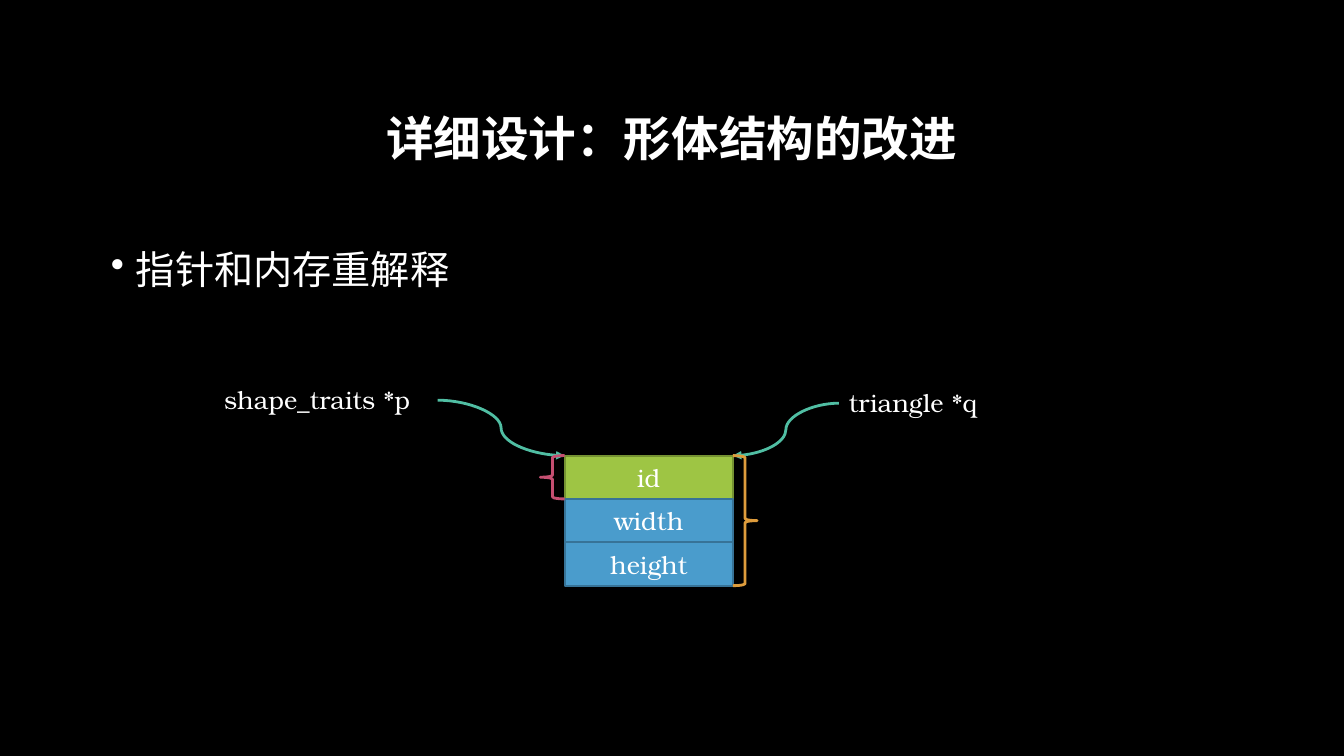
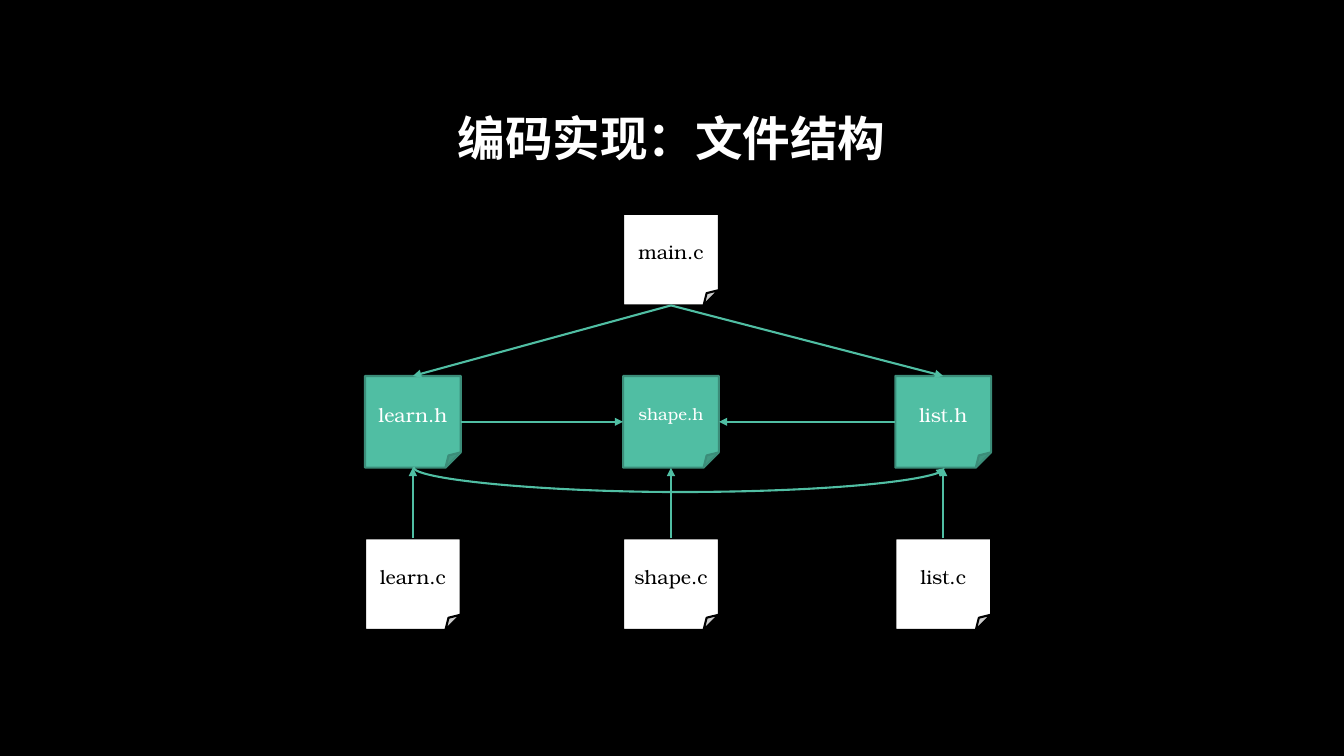
from pptx import Presentation
from pptx.dml.color import RGBColor
from pptx.enum.shapes import MSO_CONNECTOR as Connector, MSO_SHAPE as Shape
from pptx.enum.text import MSO_ANCHOR as Anchor, PP_ALIGN as Align
from pptx.oxml.ns import qn
from pptx.oxml.xmlchemy import OxmlElement
from pptx.util import Inches, Pt

COLORS = {
    "black": "000000",
    "white": "FFFFFF",
    "teal": "50BEA3",
    "dark_teal": "3B8D79",
    "green": "9EC544",
    "dark_green": "759232",
    "blue": "4A9CCC",
    "dark_blue": "377397",
    "pink": "C54F71",
    "orange": "DE9C3C",
}
SERIF = "TeX Gyre Bonum"
MONO = "Courier New"
TOP, LEFT, BOTTOM, RIGHT = range(4)


def color(name):
    return RGBColor.from_string(COLORS[name])


def write(shape, text, size=18, font=SERIF, ink="white", bold=False,
          align=Align.CENTER, anchor=Anchor.MIDDLE, spacing=1.0, bullet=None):
    frame = shape.text_frame
    frame.word_wrap = True
    frame.vertical_anchor = anchor
    paragraph = frame.paragraphs[0]
    paragraph.text = text
    paragraph.alignment = align
    paragraph.line_spacing = spacing
    if bullet:
        properties = paragraph._p.get_or_add_pPr()
        properties.set("marL", str(Inches(0.25)))
        properties.set("indent", str(Inches(-0.25)))
        mark = OxmlElement("a:buChar")
        mark.set("char", bullet)
        properties.append(mark)
    paragraph.font.size = Pt(size)
    paragraph.font.name = font
    paragraph.font.bold = bold
    paragraph.font.color.rgb = color(ink)


def add_text(slide, box, text, **style):
    write(slide.shapes.add_textbox(*map(Inches, box)), text, **style)


def add_block(slide, kind, box, line, fill=None, width=1.5):
    shape = slide.shapes.add_shape(kind, *map(Inches, box))
    shape.shadow.inherit = False
    if fill:
        shape.fill.solid()
        shape.fill.fore_color.rgb = color(fill)
    else:
        shape.fill.background()
    shape.line.color.rgb = color(line)
    shape.line.width = Pt(width)
    return shape


def add_arrow(slide, start=(0, 0), end=(0, 0), kind=Connector.STRAIGHT, width=1.5):
    arrow = slide.shapes.add_connector(kind, *map(Inches, (*start, *end)))
    arrow.line.color.rgb = color("teal")
    arrow.line.width = Pt(width)
    properties = arrow.element.spPr
    head = OxmlElement("a:tailEnd")
    head.set("type", "triangle")
    properties.find(qn("a:ln")).append(head)
    properties.append(OxmlElement("a:effectLst"))
    return arrow


def join(slide, source, source_side, target, target_side):
    arrow = add_arrow(slide)
    arrow.begin_connect(source, source_side)
    arrow.end_connect(target, target_side)


def add_bow(slide, start, end, depth):
    thickness = 0.01
    center_x, span = (start[0] + end[0]) / 2, end[0] - start[0]
    arrow = add_arrow(slide,
                      (center_x + thickness / 2, start[1] - span / 2),
                      (center_x - thickness / 2, start[1] + span / 2),
                      kind=Connector.CURVE)
    arrow.rotation = 270
    guide = OxmlElement("a:gd")
    guide.set("name", "adj1")
    guide.set("fmla", f"val {round(depth / thickness * 100000)}")
    geometry = arrow.element.spPr.find(qn("a:prstGeom"))
    geometry.find(qn("a:avLst")).append(guide)


def add_file(slide, name, left, top, size=14):
    header = name.endswith(".h")
    fill, line, ink = (("teal", "dark_teal", "white") if header
                       else ("white", "black", "black"))
    shape = add_block(slide, Shape.FOLDED_CORNER, (left, top, 0.95, 0.91), line, fill)
    shape.text_frame.margin_left = shape.text_frame.margin_right = Inches(0.05)
    write(shape, name, size=size, ink=ink)
    return shape


def new_slide(presentation, title):
    slide = presentation.slides.add_slide(presentation.slide_layouts[6])
    add_text(slide, (1, 0.67, 11.32, 1.45), title, size=34, bold=True, spacing=0.9)
    return slide


def build_memory_slide(presentation):
    slide = new_slide(presentation, "详细设计：形体结构的改进")
    add_text(slide, (1, 2.29, 11.32, 4.04), "指针和内存重解释", size=28, font=MONO,
             align=Align.LEFT, anchor=Anchor.TOP, spacing=1.2, bullet="•")
    add_text(slide, (1.95, 3.76, 2.39, 0.4), "shape_traits *p", anchor=Anchor.TOP)
    add_text(slide, (8.32, 3.79, 2.94, 0.4), "triangle *q", align=Align.LEFT,
             anchor=Anchor.TOP)

    left, top, width, height = 5.6, 4.52, 1.67, 0.43
    fields = [("id", "green"), ("width", "blue"), ("height", "blue")]
    for row, (name, fill) in enumerate(fields):
        box = (left, top + row * height, width, height)
        write(add_block(slide, Shape.RECTANGLE, box, "dark_" + fill, fill), name)

    right, brace = left + width, 0.24
    for start, end in (((4.34, 3.97), (left, top)), ((8.32, 4), (right, top))):
        add_arrow(slide, start, end, kind=Connector.CURVE, width=2)
    add_block(slide, Shape.LEFT_BRACE, (left - brace, top, brace, height),
              "pink", width=2)
    add_block(slide, Shape.RIGHT_BRACE, (right, top, brace, len(fields) * height),
              "orange", width=2)


def build_files_slide(presentation):
    slide = new_slide(presentation, "编码实现：文件结构")
    columns = {"learn": 3.62, "shape": 6.18, "list": 8.88}
    main_top, header_top, source_top = (2.12 + 1.61 * row for row in range(3))
    main_file = add_file(slide, "main.c", columns["shape"], main_top)
    headers = {}
    for name, left in columns.items():
        headers[name] = add_file(slide, name + ".h", left, header_top,
                                 size=12 if name == "shape" else 14)
        source = add_file(slide, name + ".c", left, source_top)
        join(slide, source, TOP, headers[name], BOTTOM)
    for name, inner, outer in (("learn", RIGHT, LEFT), ("list", LEFT, RIGHT)):
        join(slide, main_file, BOTTOM, headers[name], TOP)
        join(slide, headers[name], inner, headers["shape"], outer)
    add_bow(slide, (4.1, 4.64), (9.37, 4.64), depth=0.25)


def main():
    presentation = Presentation()
    presentation.slide_width = Inches(13.33)
    presentation.slide_height = Inches(7.5)
    background = presentation.slide_master.background.fill
    background.solid()
    background.fore_color.rgb = color("black")
    build_memory_slide(presentation)
    build_files_slide(presentation)
    presentation.save("out.pptx")


if __name__ == "__main__":
    main()
